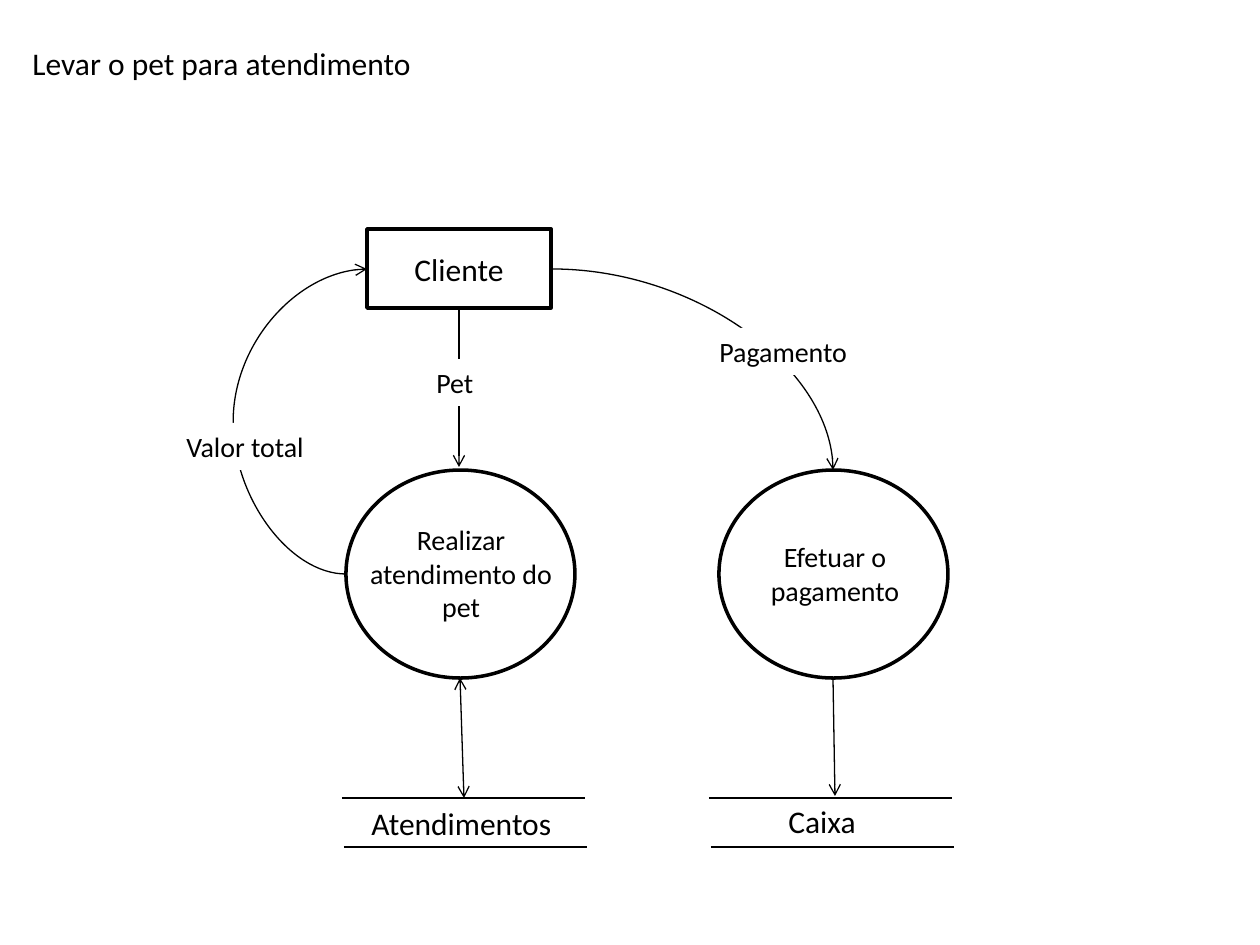
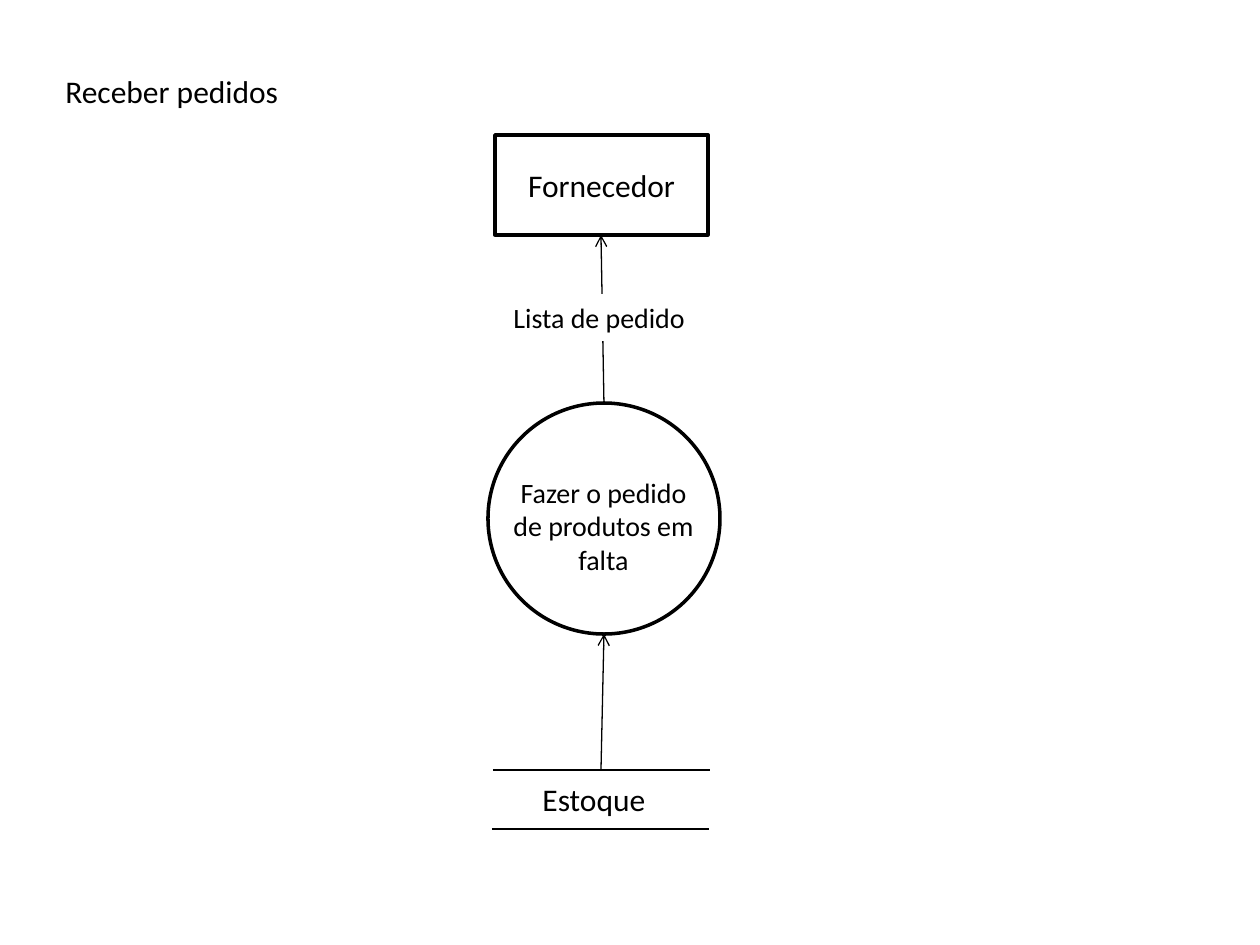
from lxml import etree
from pptx import Presentation
from pptx.dml.color import RGBColor
from pptx.enum.shapes import MSO_CONNECTOR, MSO_SHAPE
from pptx.enum.text import MSO_ANCHOR, MSO_AUTO_SIZE, PP_ALIGN
from pptx.oxml.ns import qn
from pptx.util import Inches, Pt

STRAIGHT, CURVE = MSO_CONNECTOR.STRAIGHT, MSO_CONNECTOR.CURVE
RECTANGLE, OVAL = MSO_SHAPE.RECTANGLE, MSO_SHAPE.OVAL
LEFT, CENTER = PP_ALIGN.LEFT, PP_ALIGN.CENTER
MIDDLE = MSO_ANCHOR.MIDDLE
GROW = MSO_AUTO_SIZE.SHAPE_TO_FIT_TEXT

BLACK = RGBColor(0, 0, 0)
WHITE = RGBColor(255, 255, 255)
FONT = "Calibri"
NAME_SIZE, FLOW_SIZE = 18, 16
OUTLINE, THIN = 2, 0.75
NAME_HEIGHT, FLOW_HEIGHT = 50, 47
PIXEL = Inches(1) / 126


def px(*lengths):
    """Turn pixel lengths into EMU."""
    return [round(length * PIXEL) for length in lengths]


def write(frame, text, size, align):
    """Write one black paragraph into a text frame."""
    frame.word_wrap = True
    paragraph = frame.paragraphs[0]
    paragraph.alignment = align
    run = paragraph.add_run()
    run.text = text
    style = {"name": FONT, "size": Pt(size)}
    for key, value in style.items():
        setattr(run.font, key, value)
    run.font.color.rgb = BLACK


def caption(slide, box, text, size=NAME_SIZE, align=LEFT):
    """Place a text box that grows with its text."""
    label = slide.shapes.add_textbox(*px(*box))
    write(label.text_frame, text, size, align)
    label.text_frame.auto_size = GROW
    return label


def flow_label(slide, box, text, align=LEFT):
    """Name a flow on a white patch that interrupts its arrow."""
    patch = caption(slide, box, text, FLOW_SIZE, align)
    patch.fill.solid()
    patch.fill.fore_color.rgb = WHITE


def outlined(slide, kind, box):
    """Place a white shape with a heavy black outline."""
    shape = slide.shapes.add_shape(kind, *px(*box))
    shape.shadow.inherit = False
    shape.fill.solid()
    shape.fill.fore_color.rgb = WHITE
    shape.line.color.rgb = BLACK
    shape.line.width = Pt(OUTLINE)
    return shape


def entity(slide, box, name):
    """Place an external entity with its name in the middle."""
    frame = outlined(slide, RECTANGLE, box).text_frame
    frame.vertical_anchor = MIDDLE
    write(frame, name, NAME_SIZE, CENTER)


def process(slide, box, name, text_height, nudge=(0, 0)):
    """Place a process circle and centre its name, give or take a nudge."""
    left, top, width, height = box
    outlined(slide, OVAL, box)
    text_box = (left + 11 + nudge[0], top + (height - text_height) / 2 + nudge[1],
                width - 21, text_height)
    caption(slide, text_box, name, FLOW_SIZE, CENTER)


def flow(slide, start, end, kind=STRAIGHT, head=False, tail=True):
    """Draw a thin flow line, with arrowheads where asked."""
    line = slide.shapes.add_connector(kind, *px(*start, *end))
    line.line.color.rgb = BLACK
    line.line.width = Pt(THIN)
    properties = line.line._get_or_add_ln()
    for tag, shown in (("a:headEnd", head), ("a:tailEnd", tail)):
        if shown:
            etree.SubElement(properties, qn(tag), type="arrow")
    etree.SubElement(line._element.spPr, qn("a:effectLst"))
    return line


def quarter_flow(slide, start, end):
    """Draw a flow that leaves sideways and arrives from above."""
    line = flow(slide, start, end, CURVE)
    line._element.spPr.find(qn("a:prstGeom")).set("prst", "curvedConnector2")


def return_flow(slide, start, end, reach):
    """Draw a flow that swings out to the x of reach and comes back upwards."""
    line = flow(slide, start, end, CURVE)
    properties = line._element.spPr
    frame = properties.find(qn("a:xfrm"))
    frame.attrib.pop("flipV", None)
    frame.set("rot", "10800000")
    frame.set("flipH", "1")
    geometry = properties.find(qn("a:prstGeom"))
    guides = geometry.find(qn("a:avLst"))
    if guides is None:
        guides = etree.SubElement(geometry, qn("a:avLst"))
    bend = round((reach - start[0]) / (end[0] - start[0]) * 100000)
    etree.SubElement(guides, qn("a:gd"), name="adj1", fmla=f"val {bend}")


def store(slide, box, name, name_box, skew):
    """Place a data store: a name between two lines, the lower one skewed."""
    left, top, width, height = box
    for x, y in ((left, top), (left + skew, top + height)):
        flow(slide, (x, y), (x + width, y), tail=False)
    dx, dy, name_width = name_box
    caption(slide, (left + dx, top + dy, name_width, NAME_HEIGHT), name)


def care_slide(slide):
    """Draw the flows of taking the pet to its appointment."""
    caption(slide, (20, 38, 436, NAME_HEIGHT), "Levar o pet para atendimento")
    entity(slide, (367, 229, 184, 79), "Cliente")
    flow(slide, (459, 309), (459, 467))
    flow_label(slide, (392, 359, 132, FLOW_HEIGHT), "Pet ", CENTER)
    process(slide, (346, 470, 229, 208), "Realizar atendimento do pet", 115)
    store(slide, (342, 798, 243, 49), "Atendimentos ", (17, 0, 210), 2)
    process(slide, (719, 470, 229, 208), "Efetuar o pagamento", 81, (1, 0))
    store(slide, (709, 798, 243, 49), "Caixa", (67, -2, 118), 2)
    return_flow(slide, (346, 574), (367, 269), 233)
    flow_label(slide, (174, 423, 163, FLOW_HEIGHT), "Valor total")
    flow(slide, (460, 678), (464, 798), head=True)
    flow(slide, (833, 678), (835, 796))
    quarter_flow(slide, (552, 269), (833, 470))
    flow_label(slide, (707, 328, 159, FLOW_HEIGHT), "Pagamento")


def order_slide(slide):
    """Draw the flows of ordering products from the supplier."""
    caption(slide, (53, 66, 250, NAME_HEIGHT), "Receber pedidos")
    entity(slide, (495, 135, 213, 100), "Fornecedor")
    process(slide, (488, 403, 232, 231), "Fazer o pedido de produtos em falta",
            115, (-1, 8))
    flow(slide, (604, 403), (601, 235))
    flow_label(slide, (501, 294, 221, FLOW_HEIGHT), "Lista de pedido")
    flow(slide, (601, 770), (604, 634))
    store(slide, (493, 770, 217, 59), "Estoque", (37, 4, 159), -1)


deck = Presentation()
deck.slide_width, deck.slide_height = px(1260, 945)
for draw in (care_slide, order_slide):
    draw(deck.slides.add_slide(deck.slide_layouts[6]))
deck.save("out.pptx")
